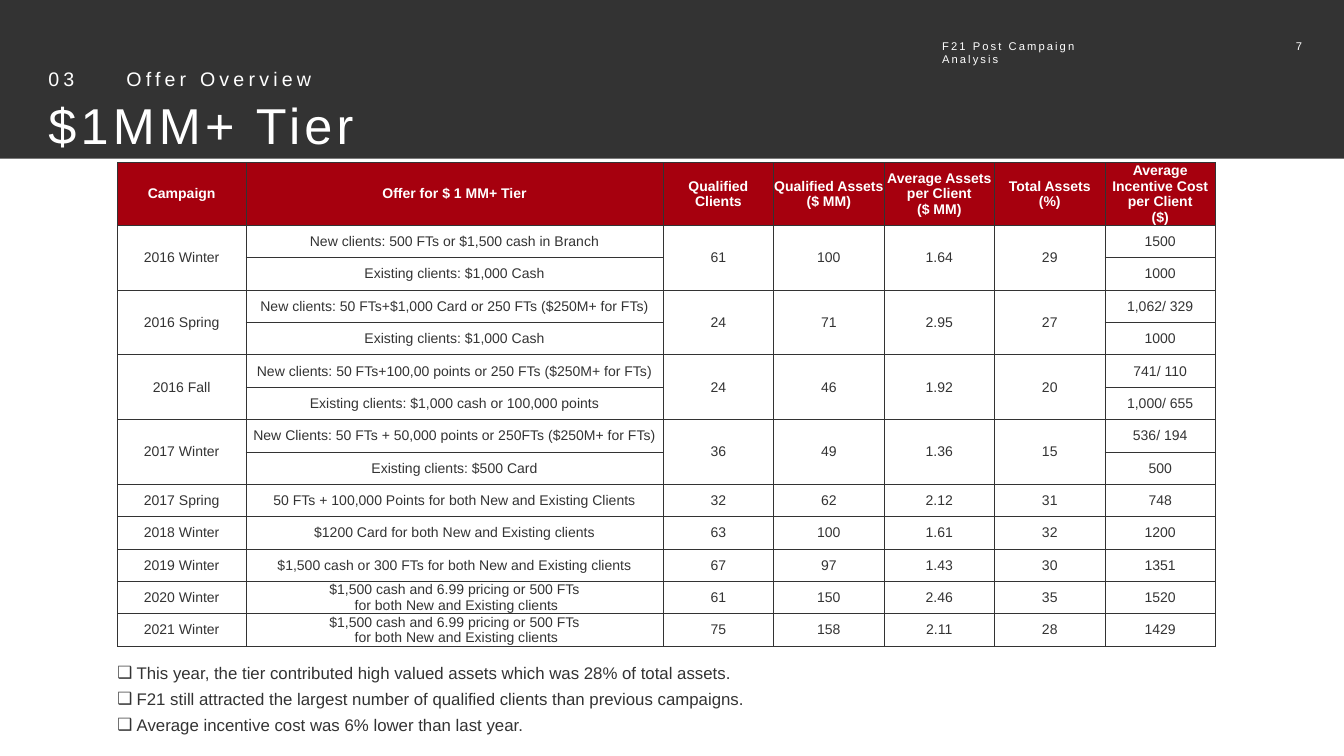
from lxml import etree
from pptx import Presentation
from pptx.dml.color import RGBColor
from pptx.enum.shapes import MSO_SHAPE
from pptx.enum.text import MSO_ANCHOR, MSO_AUTO_SIZE, PP_ALIGN
from pptx.oxml.ns import qn
from pptx.util import Inches, Pt

RECT = MSO_SHAPE.RECTANGLE
TOP, MIDDLE = MSO_ANCHOR.TOP, MSO_ANCHOR.MIDDLE
LEFT, CENTER, RIGHT = PP_ALIGN.LEFT, PP_ALIGN.CENTER, PP_ALIGN.RIGHT
FIXED = MSO_AUTO_SIZE.NONE

W, H = Inches(26.66), Inches(15)
FONT, DARK, RED, WHITE = "Arial", "333333", "A6000E", "FFFFFF"

HEADERS = [
    "Campaign", "Offer for $ 1 MM+ Tier", "Qualified\nClients",
    "Qualified Assets\n($ MM)", "Average Assets per Client\n($ MM)",
    "Total Assets\n(%)", "Average Incentive Cost per Client\n($)",
]
CASH_OR_FTS = "$1,500 cash and 6.99 pricing or 500 FTs\n for both New and Existing clients"
CAMPAIGNS = [
    ("2016 Winter", ["New clients: 500 FTs or $1,500 cash in Branch",
                     "Existing clients: $1,000 Cash"],
     ["61", "100", "1.64", "29"], ["1500", "1000"]),
    ("2016 Spring", ["New clients: 50 FTs+$1,000 Card or 250 FTs ($250M+ for FTs)",
                     "Existing clients: $1,000 Cash"],
     ["24", "71", "2.95", "27"], ["1,062/ 329", "1000"]),
    ("2016 Fall", ["New clients: 50 FTs+100,00 points or 250 FTs ($250M+ for FTs)",
                   "Existing clients: $1,000 cash or 100,000 points"],
     ["24", "46", "1.92", "20"], ["741/ 110", "1,000/ 655"]),
    ("2017 Winter", ["New Clients: 50 FTs + 50,000 points or 250FTs ($250M+ for FTs)",
                     "Existing clients: $500 Card"],
     ["36", "49", "1.36", "15"], ["536/ 194", "500"]),
    ("2017 Spring", ["50 FTs + 100,000 Points for both New and Existing Clients"],
     ["32", "62", "2.12", "31"], ["748"]),
    ("2018 Winter", ["$1200 Card for both New and Existing clients"],
     ["63", "100", "1.61", "32"], ["1200"]),
    ("2019 Winter", ["$1,500 cash or 300 FTs for both New and Existing clients"],
     ["67", "97", "1.43", "30"], ["1351"]),
    ("2020 Winter", [CASH_OR_FTS], ["61", "150", "2.46", "35"], ["1520"]),
    ("2021 Winter", [CASH_OR_FTS], ["75", "158", "2.11", "28"], ["1429"]),
]
FINDINGS = [
    "This year, the tier contributed high valued assets which was 28% of total assets.",
    "F21 still attracted the largest number of qualified clients than previous campaigns.",
    "Average incentive cost was 6% lower than last year.",
]


def rgb(value):
    return RGBColor.from_string(value)


def percent_box(left, top, width, height):
    return [int(W * left / 100), int(H * top / 100),
            int(W * width / 100), int(H * height / 100)]


def style(p, size, color, align=LEFT, bold=False, before=0):
    p.alignment, p.space_before, p.line_spacing = align, Pt(before), 1.0
    f = p.font
    f.name, f.size, f.bold = FONT, Pt(size), bold
    f.color.rgb = rgb(color)


def track(p, points):
    for r in p.runs:
        r._r.get_or_add_rPr().set("spc", str(points * 100))


def set_frame(sp, anchor=TOP):
    tf = sp.text_frame
    tf.margin_left = tf.margin_top = tf.margin_right = tf.margin_bottom = 0
    tf.auto_size, tf.word_wrap, tf.vertical_anchor = FIXED, True, anchor
    return tf


def place(sp, box):
    sp.left, sp.top, sp.width, sp.height = box


def add_label(s, box, text, size, align=LEFT, anchor=TOP, spacing=0):
    p = set_frame(s.shapes.add_textbox(*box), anchor).paragraphs[0]
    p.text = text
    style(p, size, WHITE, align)
    track(p, spacing)


def add_header(s, box):
    band = s.shapes.add_shape(RECT, *box)
    band.shadow.inherit = False
    band.fill.solid()
    band.fill.fore_color.rgb = rgb(DARK)
    band.line.fill.background()
    s.shapes._spTree.insert(2, band._element)

    title = s.shapes.title
    place(title, percent_box(3.6, 8.8, 95.72, 11.2))
    tf = set_frame(title)
    section, name = tf.paragraphs[0], tf.add_paragraph()
    section.text, name.text = "03\tOffer Overview", "$1MM+ Tier"
    style(section, 28, WHITE)
    style(name, 72, WHITE, before=6)
    for p in (section, name):
        track(p, 6)
    pPr = section._p.get_or_add_pPr()
    tabs = etree.Element(qn("a:tabLst"))
    etree.SubElement(tabs, qn("a:tab"), pos=str(int(W * 0.058)), algn="l")
    pPr.find(qn("a:defRPr")).addprevious(tabs)

    add_label(s, percent_box(70.1, 5.2, 14.33, 1.8), "F21 Post Campaign Analysis", 16, spacing=3)
    add_label(s, percent_box(94.97, 4.87, 1.91, 2.47), "7", 16, RIGHT, MIDDLE)


def add_borders(cell):
    tcPr = cell._tc.get_or_add_tcPr()
    for side in ("lnL", "lnR", "lnT", "lnB"):
        ln = etree.SubElement(tcPr, qn(f"a:{side}"), w=str(Pt(1)))
        fill = etree.SubElement(ln, qn("a:solidFill"))
        etree.SubElement(fill, qn("a:srgbClr"), val=DARK)


def format_cell(cell, header):
    add_borders(cell)
    if header:
        cell.fill.solid()
        cell.fill.fore_color.rgb = rgb(RED)
    else:
        cell.fill.background()
    cell.vertical_anchor = MIDDLE
    cell.margin_left = cell.margin_top = cell.margin_right = Inches(0.01)
    cell.margin_bottom = 0
    style(cell.text_frame.paragraphs[0], 20, WHITE if header else DARK, CENTER, header)


def put(cell, text):
    cell.text_frame.paragraphs[0].text = text


def add_campaign_table(s, box):
    width, height = box[2:]
    n_rows = 1 + sum(len(offers) for _, offers, _, _ in CAMPAIGNS)
    table = s.shapes.add_table(n_rows, len(HEADERS), *box).table
    table.first_row = table.horz_banding = False
    shares = [0.117, 0.38] + [0.503 / 5] * 5
    for col, share in zip(table.columns, shares):
        col.width = int(width * share)
    header_height = int(height * 0.12)
    for i, row in enumerate(table.rows):
        row.height = (height - header_height) // (n_rows - 1) if i else header_height

    for col, text in enumerate(HEADERS):
        put(table.cell(0, col), text)
    top = 1
    for campaign, offers, figures, costs in CAMPAIGNS:
        bottom = top + len(offers) - 1
        for col, text in zip((0, 2, 3, 4, 5), [campaign] + figures):
            put(table.cell(top, col), text)
            if bottom > top:
                table.cell(top, col).merge(table.cell(bottom, col))
        for row, (offer, cost) in enumerate(zip(offers, costs), top):
            put(table.cell(row, 1), offer)
            put(table.cell(row, 6), cost)
        top = bottom + 1
    for row in range(n_rows):
        for col in range(len(HEADERS)):
            format_cell(table.cell(row, col), row == 0)


def add_findings(s, box):
    body = s.placeholders[1]
    place(body, box)
    tf = set_frame(body)
    for i, text in enumerate(FINDINGS):
        p = tf.add_paragraph() if i else tf.paragraphs[0]
        p.text = text
        style(p, 24, DARK, before=8.6)
        pPr = p._p.get_or_add_pPr()
        indent = Inches(0.38)
        pPr.set("marL", str(indent))
        pPr.set("indent", str(-indent))
        bullet = etree.Element(qn("a:buChar"), char="❑")
        pPr.find(qn("a:defRPr")).addprevious(bullet)


def main():
    prs = Presentation()
    prs.slide_width, prs.slide_height = W, H
    s = prs.slides.add_slide(prs.slide_layouts[1])
    add_header(s, percent_box(0, 0, 100, 21))
    add_campaign_table(s, percent_box(8.74, 21.47, 81.7, 63.27))
    add_findings(s, percent_box(8.74, 87.6, 81.7, 9.73))
    prs.save("out.pptx")


if __name__ == "__main__":
    main()
